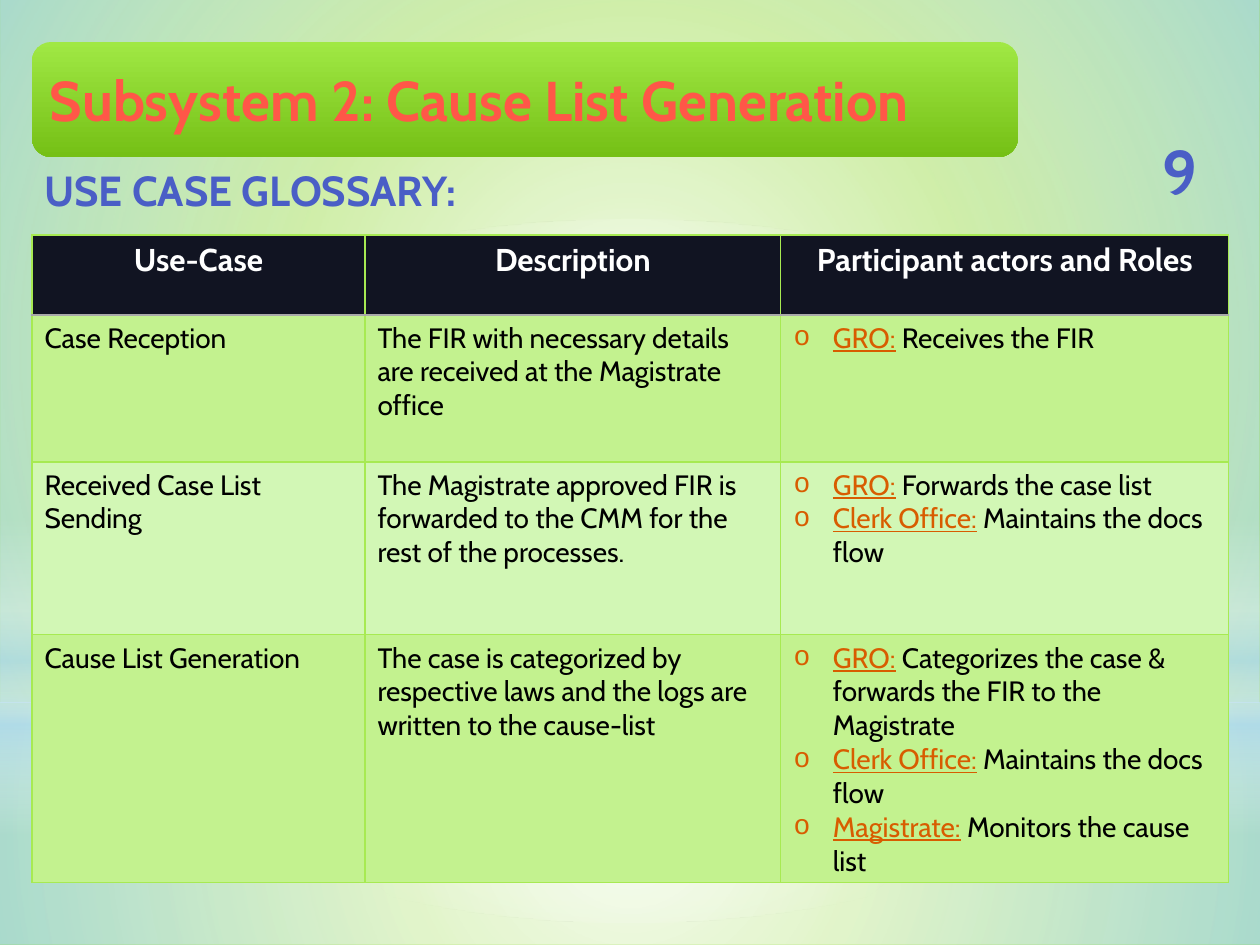
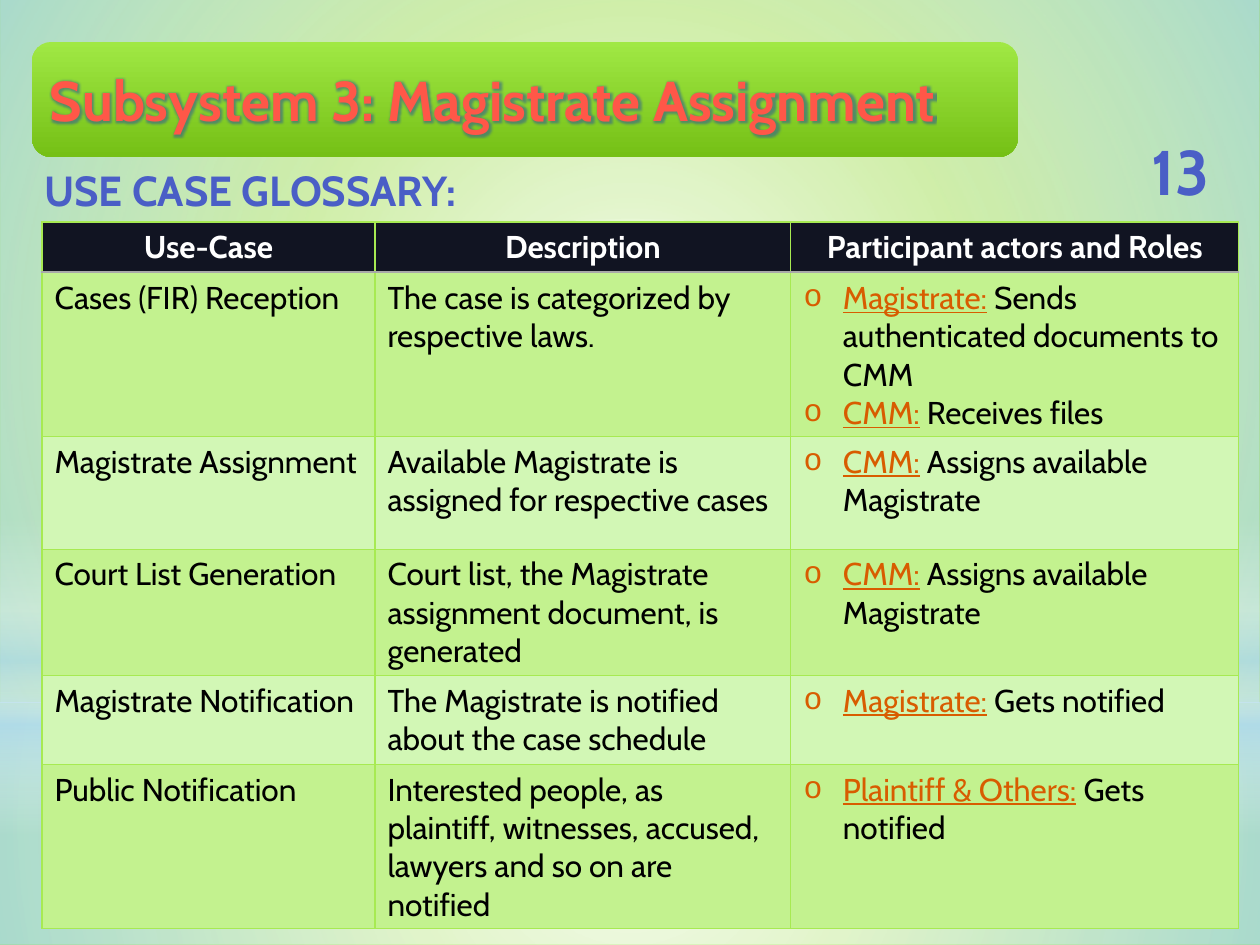
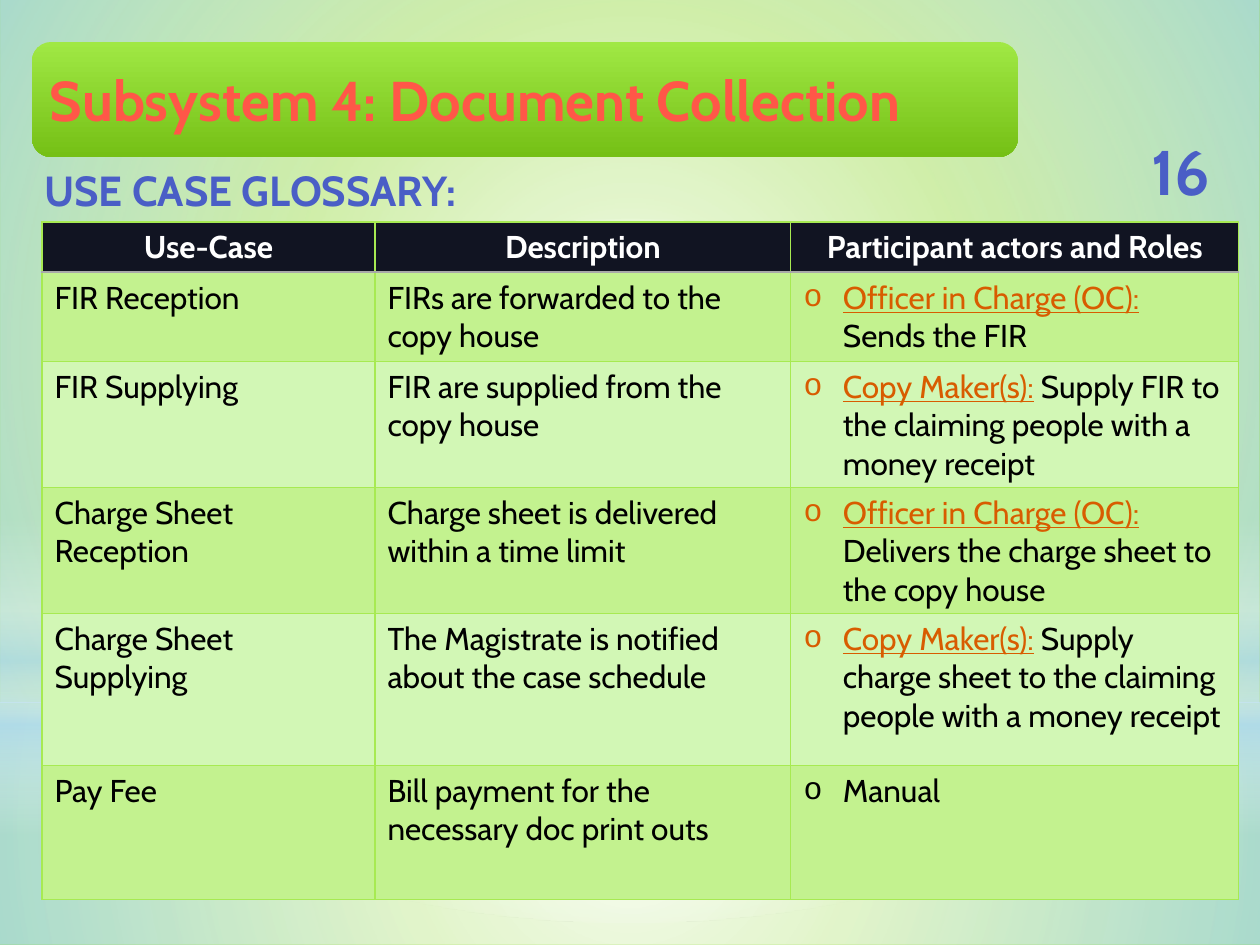
import pptx
import pptx.util
import pptx.dml.color
import pptx.enum.shapes
import pptx.enum.text
import pptx.oxml
import pptx.oxml.ns
import lxml.etree

SCALE = 914400 // 126
FONT = "Cabin"
RED, BLUE, ORANGE = "FF5748", "4A5EC6", "D85C00"
BLACK, WHITE, NAVY = "000000", "FFFFFF", "111422"
LIME, GRAY, SKY = "A7EA52", "A9A9A9", "B4DCFA"
BANDS = ["C3F28F", "D2F7B5"]
COLS = [333, 416, 448]
HEADS = ["Use-Case", "Description", "Participant actors and Roles"]
MID = pptx.enum.text.MSO_ANCHOR.MIDDLE
CENTER = pptx.enum.text.PP_ALIGN.CENTER
KIND = pptx.enum.shapes.MSO_SHAPE


def px(n):
    return pptx.util.Emu(n * SCALE)


def rgb(code):
    return pptx.dml.color.RGBColor.from_string(code)


def node(xml):
    """Parse a drawing element whose root uses the a: prefix."""
    head, mark, rest = xml.partition(" ")
    return pptx.oxml.parse_xml(f"{head} {pptx.oxml.ns.nsdecls('a')} {rest}")


class Deck:
    def __init__(self):
        self.prs = pptx.Presentation()
        self.prs.slide_width = pptx.util.Inches(10)
        self.prs.slide_height = pptx.util.Inches(7.5)
        fill = self.prs.slide_master.background.fill
        fill.solid()
        fill.fore_color.rgb = rgb("81D31A")

    def start(self):
        """Add a blank slide with the soft backdrop."""
        self.slide = self.prs.slides.add_slide(self.prs.slide_layouts[6])
        self.shape(KIND.RECTANGLE, (0, 703, 1260, 242),
                   [(0, WHITE, 91), (37, WHITE, 76), (100, SKY, 79)])
        self.shape(KIND.RECTANGLE, (0, 0, 1260, 703),
                   [(0, WHITE, 89), (48, WHITE, 62), (100, SKY, 79)])
        self.shape(KIND.RECTANGLE, (0, 519, 1260, 315),
                   [(0, WHITE, 0), (29, WHITE, 30), (45, SKY, 40),
                    (55, WHITE, 26), (65, SKY, 60), (100, WHITE, 0)], True)
        self.shape(KIND.OVAL, (0, 220, 1260, 703),
                   [(0, WHITE, 100), (56, WHITE, 0)])

    def shape(self, kind, box, stops, linear=False):
        """Add a shape with a gradient of (position, colour, opacity) stops."""
        item = self.slide.shapes.add_shape(kind, *map(px, box))
        item.shadow.inherit = False
        item.line.fill.background()
        marks = "".join(
            f'<a:gs pos="{pos * 1000}"><a:srgbClr val="{code}">'
            f'<a:alpha val="{alpha * 1000}"/></a:srgbClr></a:gs>'
            for pos, code, alpha in stops)
        way = ('<a:lin ang="5400000" scaled="0"/>' if linear else
               '<a:path path="circle"><a:fillToRect l="50000" t="50000" '
               'r="50000" b="50000"/></a:path>')
        fill = node(f'<a:gradFill rotWithShape="1"><a:gsLst>{marks}</a:gsLst>'
                    f'{way}</a:gradFill>')
        item._element.spPr.find(pptx.oxml.ns.qn("a:prstGeom")).addnext(fill)
        return item

    def style(self, para, size, color, bold=False, align=None):
        para.alignment = align
        font = para.font
        font.name, font.size, font.bold = FONT, pptx.util.Pt(size), bold
        font.color.rgb = rgb(color)

    def title(self, text, glow):
        item = self.shape(KIND.ROUNDED_RECTANGLE, (32, 42, 986, 115),
                          [(0, "A0E844", 100), (100, "75C016", 100)], True)
        frame = item.text_frame
        frame.vertical_anchor = MID
        para = frame.paragraphs[0]
        run = para.add_run()
        run.text = text
        self.style(para, 32, RED, True, pptx.enum.text.PP_ALIGN.LEFT)
        if glow:
            run.font._element.append(node(
                '<a:effectLst ><a:glow rad="53100"><a:srgbClr val="335F8F">'
                '<a:alpha val="60000"/></a:srgbClr></a:glow></a:effectLst>'))

    def label(self, text, box, size, align=None, anchor=None):
        frame = self.slide.shapes.add_textbox(*map(px, box)).text_frame
        frame.word_wrap = True
        frame.vertical_anchor = anchor
        frame.text = text
        self.style(frame.paragraphs[0], size, BLUE, True, align)

    def edge(self, cell, base=(LIME, 0.75)):
        """Draw the four borders of a cell; base is the bottom one."""
        props = cell._tc.get_or_add_tcPr()
        sides = {"lnL": (LIME, 0.75), "lnR": (LIME, 0.75),
                 "lnT": (LIME, 0.75), "lnB": base}
        for spot, (tag, (code, width)) in enumerate(sides.items()):
            props.insert(spot, node(
                f'<a:{tag} w="{int(width * 12700)}"><a:solidFill>'
                f'<a:srgbClr val="{code}"/></a:solidFill></a:{tag}>'))

    def paint(self, cell, color):
        cell.fill.solid()
        cell.fill.fore_color.rgb = rgb(color)

    def roles(self, cell, pairs, size):
        """Fill a cell with bulleted (actor, duty) pairs."""
        frame = cell.text_frame
        for i, (actor, duty) in enumerate(pairs):
            para = frame.add_paragraph() if i else frame.paragraphs[0]
            self.style(para, size, BLACK)
            if actor:
                run = para.add_run()
                run.text = actor
                run.font.underline = True
                run.font.color.rgb = rgb(ORANGE)
                duty = " " + duty
            para.add_run().text = duty
            props = para._p.get_or_add_pPr()
            props.set("marL", "285750")
            props.set("indent", "-285750")
            props.insert(0, node('<a:buFont typeface="Courier New"/>'))
            props.insert(1, node('<a:buChar char="o"/>'))

    def table(self, left, top, highs, rows, size):
        grid = self.slide.shapes.add_table(
            len(highs), len(COLS), px(left), px(top),
            px(sum(COLS)), px(sum(highs))).table
        for col, wide in zip(grid.columns, COLS):
            col.width = px(wide)
        for row, high in zip(grid.rows, highs):
            row.height = px(high)
        for c, head in enumerate(HEADS):
            cell = grid.cell(0, c)
            cell.text = head
            self.style(cell.text_frame.paragraphs[0], 18, WHITE, True, CENTER)
            self.paint(cell, NAVY)
            self.edge(cell, (GRAY, 1.25))
        for r, (*texts, pairs) in enumerate(rows, 1):
            for c, text in enumerate(texts):
                cell = grid.cell(r, c)
                cell.text = text
                self.style(cell.text_frame.paragraphs[0], size, BLACK)
            self.roles(grid.cell(r, 2), pairs, size)
            for c in range(len(COLS)):
                self.paint(grid.cell(r, c), BANDS[(r - 1) % 2])
                self.edge(grid.cell(r, c))

    def page(self, name, num, spot, highs, rows, size=18, glow=False):
        self.start()
        self.title(name, glow)
        self.label(num, (1119, 136, 123, 68), 36, CENTER, MID)
        self.label("USE CASE GLOSSARY:", (32, 158, 449, 63), 24)
        self.table(*spot, highs, rows, size)


CAUSE = [
    ("Case Reception",
     "The FIR with necessary details are received at the Magistrate office",
     [("GRO:", "Receives the FIR")]),
    ("Received Case List Sending",
     "The Magistrate approved FIR is forwarded to the CMM for the rest of "
     "the processes.",
     [("GRO:", "Forwards the case list"),
      ("Clerk Office:", "Maintains the docs flow")]),
    ("Cause List Generation",
     "The case is categorized by respective laws and the logs are written "
     "to the cause-list",
     [("GRO:", "Categorizes the case & forwards the FIR to the Magistrate"),
      ("Clerk Office:", "Maintains the docs flow"),
      ("Magistrate:", "Monitors the cause list")]),
]
ASSIGN = [
    ("Cases (FIR) Reception", "The case is categorized by respective laws.",
     [("Magistrate:", "Sends authenticated documents to CMM"),
      ("CMM:", "Receives files")]),
    ("Magistrate Assignment",
     "Available Magistrate is assigned for respective cases",
     [("CMM:", "Assigns available Magistrate")]),
    ("Court List Generation",
     "Court list, the Magistrate assignment document, is generated",
     [("CMM:", "Assigns available Magistrate")]),
    ("Magistrate Notification",
     "The Magistrate is notified about the case schedule",
     [("Magistrate:", "Gets notified")]),
    ("Public Notification",
     "Interested people, as plaintiff, witnesses, accused, lawyers and so on "
     "are notified",
     [("Plaintiff & Others:", "Gets notified")]),
]
PAPERS = [
    ("FIR Reception", "FIRs are forwarded to the copy house",
     [("Officer in Charge (OC):", "Sends the FIR")]),
    ("FIR Supplying", "FIR are supplied from the copy house",
     [("Copy Maker(s):",
       "Supply FIR to the claiming people with a money receipt")]),
    ("Charge Sheet Reception", "Charge sheet is delivered within a time limit",
     [("Officer in Charge (OC):",
       "Delivers the charge sheet to the copy house")]),
    ("Charge Sheet Supplying",
     "The Magistrate is notified about the case schedule",
     [("Copy Maker(s):",
       "Supply charge sheet to the claiming people with a money receipt")]),
    ("Pay Fee", "Bill payment for the necessary doc print outs",
     [("", "Manual")]),
]


def main():
    deck = Deck()
    deck.page("Subsystem 2: Cause List Generation", "9", (32, 235),
              [80, 147, 173, 247], CAUSE, size=16)
    deck.page("Subsystem 3: Magistrate Assignment", "13", (42, 222),
              [50, 163, 113, 126, 89, 163], ASSIGN, glow=True)
    deck.page("Subsystem 4: Document Collection", "16", (42, 222),
              [50, 89, 126, 126, 152, 134], PAPERS)
    deck.prs.save("out.pptx")


if __name__ == "__main__":
    main()
